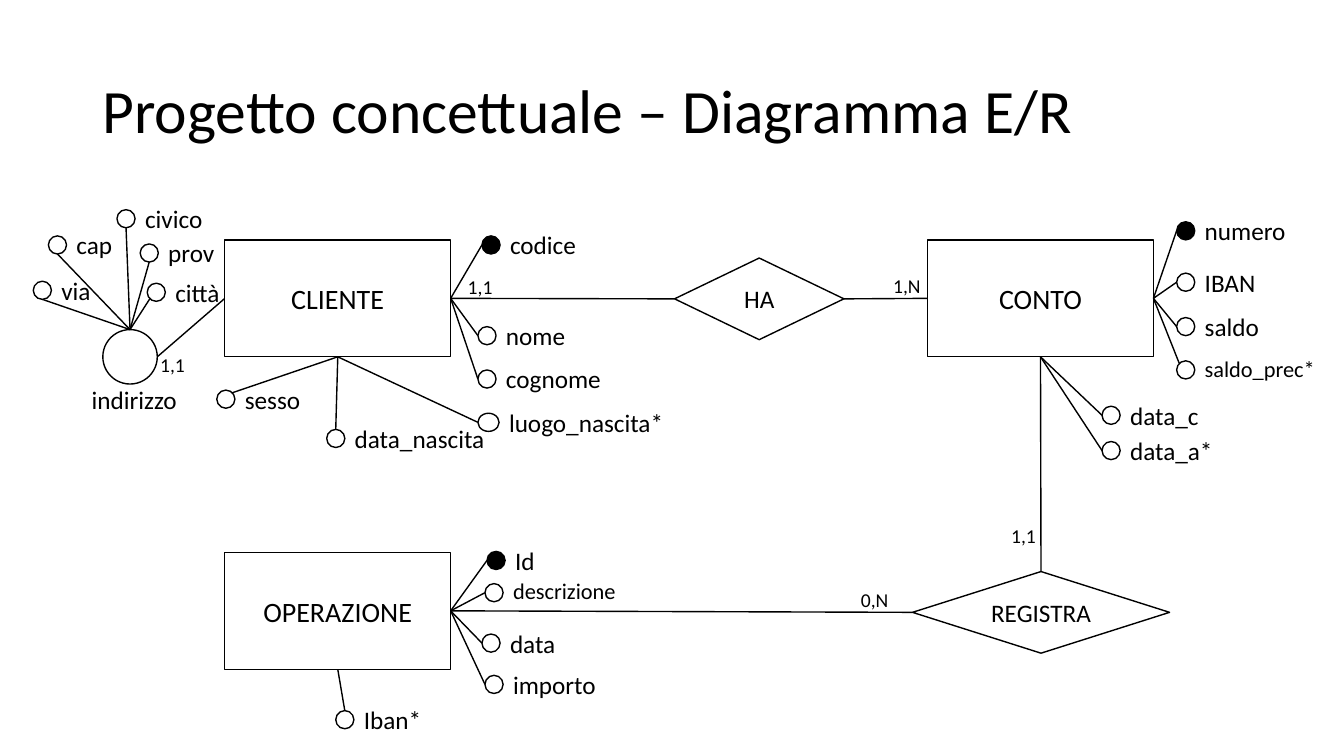
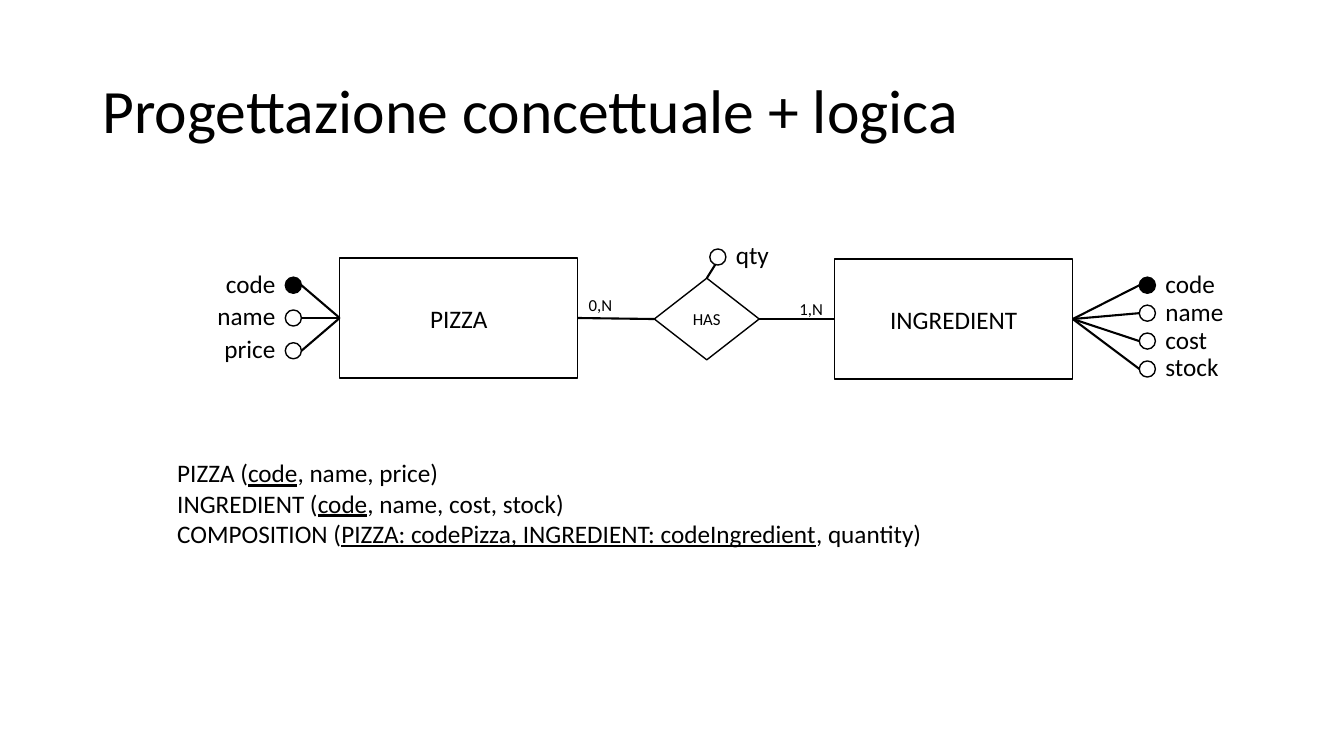
from dataclasses import dataclass, field
from typing import NamedTuple

from pptx import Presentation
from pptx.dml.color import RGBColor
from pptx.enum.shapes import MSO_CONNECTOR as Connector, MSO_SHAPE as Shape
from pptx.enum.text import MSO_ANCHOR as Anchor, PP_ALIGN as Align
from pptx.oxml.ns import qn
from pptx.slide import Slide
from pptx.util import Inches, Pt
from lxml import etree

COLORS = {"ink": "000000", "paper": "FFFFFF"}
FONT = "Calibri"
LEFT, RIGHT, TOP, BOTTOM = (0, 0.5), (1, 0.5), (0.5, 0), (0.5, 1)
LOWER_LEFT, UPPER_LEFT, UPPER_RIGHT = (0.15, 0.85), (0.15, 0.15), (0.85, 0.15)
Point = tuple[float, float]


class Box(NamedTuple):
    left: float
    top: float
    width: float
    height: float

    def point(self, side: Point) -> Point:
        return self.left + side[0] * self.width, self.top + side[1] * self.height

    def lengths(self) -> list[Inches]:
        return [Inches(value) for value in self]


class Node(NamedTuple):
    text: str
    box: Box
    size: int
    shape: Shape = Shape.RECTANGLE


class Link(NamedTuple):
    start: Point
    end: Point


class Label(NamedTuple):
    text: str
    box: Box
    size: int


class Attribute(NamedTuple):
    name: str
    left: float
    top: float
    touch: Point = LEFT
    key: bool = False
    size: int = 18
    label_width: float = 1.31
    dot_width: float = 0
    label_left: bool = False


class Fan(NamedTuple):
    origin: Point
    attributes: list[Attribute]


@dataclass
class Diagram:
    title: str
    nodes: list[Node]
    links: list[Link]
    fans: list[Fan]
    labels: list[Label]
    dot: float
    label_rise: float
    link_width: float
    schema: list[tuple[str, str, str]] = field(default_factory=list)


def color(name: str) -> RGBColor:
    return RGBColor.from_string(COLORS[name])


def style_text(frame, size: int, align: Align = Align.LEFT) -> None:
    for para in frame.paragraphs:
        para.alignment = align
        for span in para.runs:
            span.font.name = FONT
            span.font.size = Pt(size)
            span.font.color.rgb = color("ink")


def add_text(page: Slide, text: str, box: Box, size: int, align: Align = Align.LEFT):
    frame = page.shapes.add_textbox(*box.lengths()).text_frame
    frame.word_wrap = True
    frame.text = text
    style_text(frame, size, align)
    return frame


def add_outline(page: Slide, shape: Shape, box: Box, fill: str = "paper"):
    outline = page.shapes.add_shape(shape, *box.lengths())
    outline.shadow.inherit = False
    outline.fill.solid()
    outline.fill.fore_color.rgb = color(fill)
    outline.line.color.rgb = color("ink")
    outline.line.width = Pt(1)
    return outline


def add_node(page: Slide, node: Node) -> None:
    outline = add_outline(page, node.shape, node.box)
    if node.text:
        frame = outline.text_frame
        frame.text = node.text
        frame.vertical_anchor = Anchor.MIDDLE
        style_text(frame, node.size, Align.CENTER)


def add_link(page: Slide, link: Link, width: float) -> None:
    ends = [Inches(value) for value in (*link.start, *link.end)]
    line = page.shapes.add_connector(Connector.STRAIGHT, *ends)
    line.line.color.rgb = color("ink")
    line.line.width = Pt(width)
    etree.SubElement(line._element.spPr, qn("a:effectLst"))


def add_attribute(page: Slide, attribute: Attribute, origin: Point, diagram: Diagram) -> None:
    dot = Box(attribute.left, attribute.top, attribute.dot_width or diagram.dot, diagram.dot)
    add_link(page, Link(dot.point(attribute.touch), origin), diagram.link_width)
    add_outline(page, Shape.OVAL, dot, "ink" if attribute.key else "paper")
    offset = -attribute.label_width if attribute.label_left else dot.width
    label = Box(dot.left + offset, dot.top - diagram.label_rise, attribute.label_width, 0.4)
    align = Align.RIGHT if attribute.label_left else Align.LEFT
    add_text(page, attribute.name, label, attribute.size, align)


def add_title(page: Slide, text: str) -> None:
    frame = add_text(page, text, Box(0.92, 0.4, 11.5, 1.45), 44)
    frame.vertical_anchor = Anchor.MIDDLE
    frame.paragraphs[0].line_spacing = 0.9


def add_schema(page: Slide, relations: list[tuple[str, str, str]]) -> None:
    text = "\n".join("".join(relation) for relation in relations)
    frame = add_text(page, text, Box(1.66, 4.49, 10.16, 1.01), 18)
    for para, (before, key, after) in zip(frame.paragraphs, relations):
        para.runs[0].text = before
        para.add_run().text = key
        para.add_run().text = after
        para.runs[1].font.underline = True
    style_text(frame, 18)


def add_diagram(deck, diagram: Diagram) -> None:
    page = deck.slides.add_slide(deck.slide_layouts[6])
    add_title(page, diagram.title)
    for link in diagram.links:
        add_link(page, link, diagram.link_width)
    for node in diagram.nodes:
        add_node(page, node)
    for fan in diagram.fans:
        for attribute in fan.attributes:
            add_attribute(page, attribute, fan.origin, diagram)
    for label in diagram.labels:
        add_text(page, label.text, label.box, label.size)
    if diagram.schema:
        add_schema(page, diagram.schema)


def bank_diagram() -> Diagram:
    client = Box(2.23, 2.38, 2.24, 1.16)
    account = client._replace(left=9.2)
    operation = client._replace(top=5.48)
    address = Box(1.02, 3.27, 0.54, 0.54)
    has = Box(6.69, 2.56, 1.68, 0.81)
    records = Box(9.05, 5.67, 2.55, 0.81)
    return Diagram(
        title="Progetto concettuale – Diagramma E/R",
        nodes=[
            Node("CLIENTE", client, 20),
            Node("CONTO", account, 20),
            Node("OPERAZIONE", operation, 20),
            Node("", address, 18, Shape.OVAL),
            Node("HA", has, 18, Shape.DIAMOND),
            Node("REGISTRA", records, 18, Shape.DIAMOND),
        ],
        links=[
            Link(client.point(LEFT), address.point(RIGHT)),
            Link(client.point(RIGHT), has.point(LEFT)),
            Link(has.point(RIGHT), account.point(LEFT)),
            Link(records.point(TOP), account.point(BOTTOM)),
            Link(operation.point(RIGHT), records.point(LEFT)),
        ],
        fans=[
            Fan(address.point(TOP), [
                Attribute("via", 0.33, 2.79, BOTTOM),
                Attribute("cap", 0.48, 2.34, BOTTOM),
                Attribute("civico", 1.16, 2.08, BOTTOM),
                Attribute("prov", 1.39, 2.42, BOTTOM),
                Attribute("città", 1.46, 2.81, LOWER_LEFT),
            ]),
            Fan(client.point(RIGHT), [
                Attribute("codice", 4.78, 2.34, key=True),
                Attribute("nome", 4.74, 3.24),
                Attribute("cognome", 4.74, 3.67),
            ]),
            Fan(client.point(BOTTOM), [
                Attribute("sesso", 2.15, 3.87, UPPER_RIGHT, label_width=0.91),
                Attribute("data_nascita", 3.24, 4.26, TOP, label_width=1.63),
                Attribute("luogo_nascita*", 4.74, 4.1, label_width=1.89, dot_width=0.21),
            ]),
            Fan(account.point(RIGHT), [
                Attribute("numero", 11.67, 2.2, key=True),
                Attribute("IBAN", 11.67, 2.71),
                Attribute("saldo", 11.67, 3.15),
                Attribute("saldo_prec*", 11.67, 3.58, UPPER_LEFT, size=16),
            ]),
            Fan(account.point(BOTTOM), [
                Attribute("data_c", 10.93, 4.03),
                Attribute("data_a*", 10.93, 4.38),
            ]),
            Fan(operation.point(RIGHT), [
                Attribute("Id", 4.83, 5.47, key=True),
                Attribute("descrizione", 4.81, 5.79, size=16),
                Attribute("data", 4.78, 6.29),
                Attribute("importo", 4.81, 6.7),
            ]),
            Fan(operation.point(BOTTOM), [Attribute("Iban*", 3.33, 7.05, TOP)]),
        ],
        labels=[
            Label("indirizzo", Box(0.81, 3.76, 1.31, 0.4), 18),
            Label("1,N", Box(8.76, 2.67, 0.69, 0.34), 14),
            Label("1,1", Box(4.54, 2.68, 0.69, 0.34), 14),
            Label("0,N", Box(8.44, 5.78, 0.69, 0.34), 14),
            Label("1,1", Box(9.93, 5.15, 0.69, 0.34), 14),
            Label("1,1", Box(1.49, 3.45, 0.69, 0.34), 14),
        ],
        dot=0.18,
        label_rise=0.11,
        link_width=1,
    )


def pizza_diagram() -> Diagram:
    pizza = Box(3.37, 2.56, 2.36, 1.19)
    ingredient = Box(8.28, 2.57, 2.36, 1.19)
    has = Box(6.49, 2.76, 1.04, 0.81)
    pizza_names = ["code", "name", "price"]
    ingredient_names = ["code", "name", "cost", "stock"]
    return Diagram(
        title="Progettazione concettuale + logica",
        nodes=[
            Node("PIZZA", pizza, 18),
            Node("INGREDIENT", ingredient, 18),
            Node("HAS", has, 12, Shape.DIAMOND),
        ],
        links=[
            Link(pizza.point(RIGHT), has.point(LEFT)),
            Link(has.point(RIGHT), ingredient.point(LEFT)),
        ],
        fans=[
            Fan(pizza.point(LEFT), [
                Attribute(name, 2.83, 2.75 + 0.325 * row, RIGHT, key=row == 0,
                          label_width=1.51, label_left=True)
                for row, name in enumerate(pizza_names)
            ]),
            Fan(ingredient.point(RIGHT), [
                Attribute(name, 11.3, 2.75 + 0.277 * row, key=row == 0)
                for row, name in enumerate(ingredient_names)
            ]),
            Fan(has.point(TOP), [Attribute("qty", 7.04, 2.47, UPPER_RIGHT, label_width=0.81)]),
        ],
        labels=[
            Label("1,N", Box(7.83, 2.91, 0.44, 0.3), 12),
            Label("0,N", Box(5.74, 2.87, 0.44, 0.3), 12),
        ],
        dot=0.16,
        label_rise=0.14,
        link_width=1.5,
        schema=[
            ("PIZZA (", "code", ", name, price)"),
            ("INGREDIENT (", "code", ", name, cost, stock)"),
            ("COMPOSITION (", "PIZZA: codePizza, INGREDIENT: codeIngredient", ", quantity)"),
        ],
    )


deck = Presentation()
deck.slide_width, deck.slide_height = Inches(13.33), Inches(7.5)
for diagram in (bank_diagram(), pizza_diagram()):
    add_diagram(deck, diagram)
deck.save("out.pptx")
